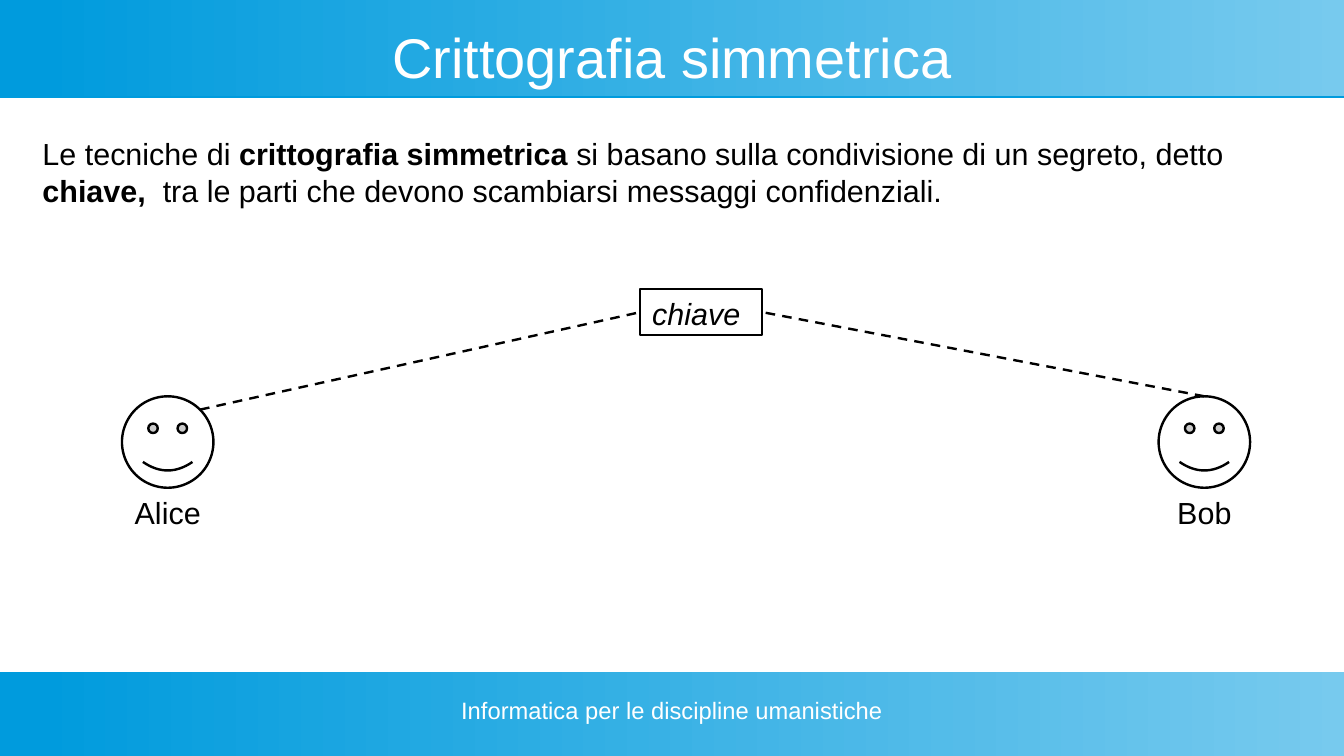
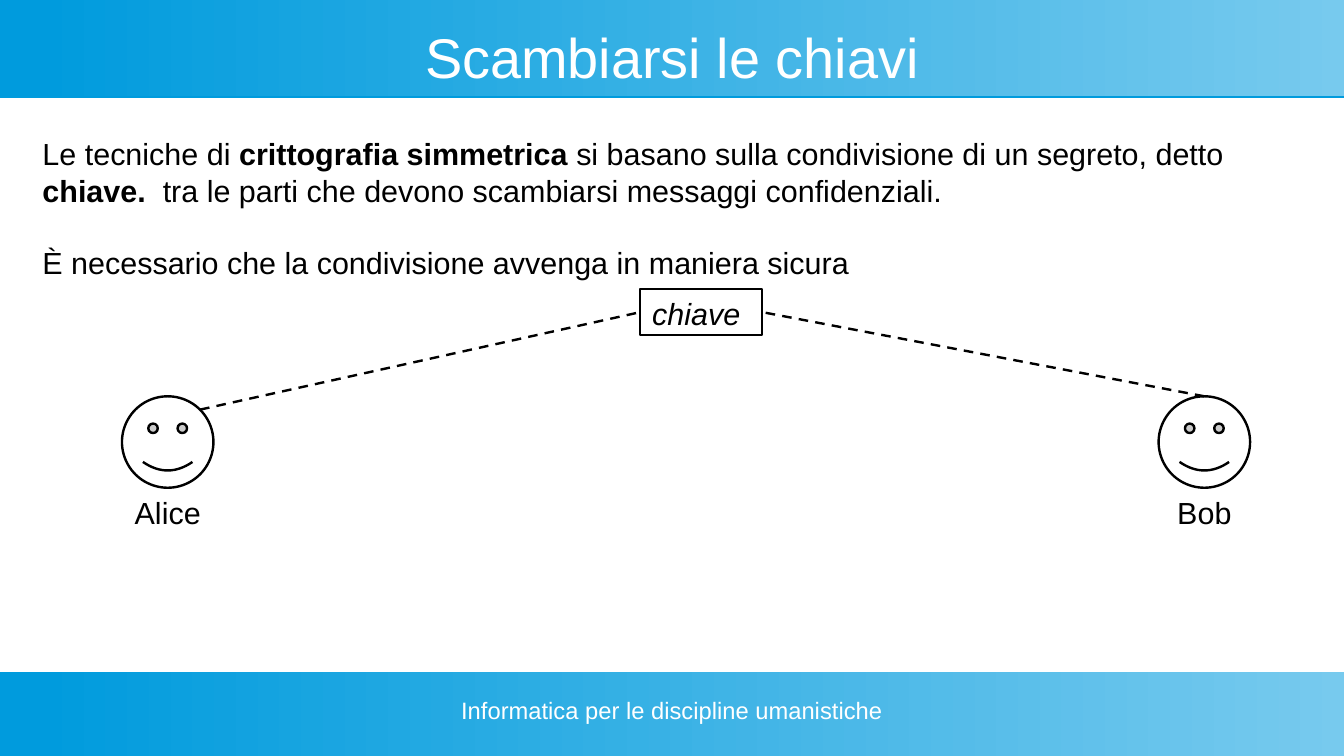
"""Builds two slides on symmetric cryptography and key sharing."""
import math
import pptx
import pptx.dml.color
import pptx.enum.dml
import pptx.enum.shapes
import pptx.enum.text
import pptx.oxml
import pptx.util
from pptx.oxml.ns import nsdecls

Inches, Pt = pptx.util.Inches, pptx.util.Pt
RGBColor = pptx.dml.color.RGBColor
SHAPE = pptx.enum.shapes.MSO_SHAPE
ALIGN = pptx.enum.text.PP_ALIGN
ANCHOR = pptx.enum.text.MSO_ANCHOR

BLUE = RGBColor(0x00, 0x9B, 0xDD)
LIGHT_BLUE = RGBColor(0x77, 0xCA, 0xEE)
WHITE = RGBColor(0xFF, 0xFF, 0xFF)
BLACK = RGBColor(0x00, 0x00, 0x00)
FONT = "Arial"
WIDTH, HEIGHT = 11.02, 6.2
BANDS = [(0, 0.79), (5.51, 0.69)]
TITLE_BOX = (0.39, 0.2, 10.24, 0.52)
FOOTER_BOX = (3.74, 5.71, 3.54, 0.39)
KEY_BOX = (5.25, 2.37, 1, 0.38)
FACE, FACE_TOP = 0.75, 3.25
LINE_WIDTH = 1.42
MARGINS = (0.1, 0.05)

FOOTER = "Informatica per le discipline umanistiche"
PEOPLE = [("Alice", 1), ("Bob", 9.5)]
KEY = "chiave"


def definition(key):
    return [("Le tecniche di ", False), ("crittografia simmetrica", True),
            (" si basano sulla condivisione di un segreto, detto ", False), (key, True),
            ("  tra le parti che devono scambiarsi messaggi confidenziali.", False)]


SLIDES = [
    ("Crittografia simmetrica", [definition("chiave,")], 0.94),
    ("Scambiarsi le chiavi",
     [definition("chiave."),
      [("È necessario che la condivisione avvenga in maniera sicura", False)]], 1.5),
]


def write(sp, paragraphs, size=18, color=BLACK, align=ALIGN.LEFT, anchor=ANCHOR.TOP,
          italic=False, margins=MARGINS, gap=0):
    """Fill a shape with paragraphs of (text, bold) runs; a string is one plain run."""
    if isinstance(paragraphs, str):
        paragraphs = [[(paragraphs, False)]]
    tf = sp.text_frame
    tf.word_wrap = True
    tf.vertical_anchor = anchor
    tf.margin_left = tf.margin_right = Inches(margins[0])
    tf.margin_top = tf.margin_bottom = Inches(margins[1])
    for i, runs in enumerate(paragraphs):
        p = tf.add_paragraph() if i else tf.paragraphs[0]
        p.alignment = align
        if i:
            p.space_before = Pt(gap)
        for text, bold in runs:
            r = p.add_run()
            r.text = text
            r.font.name, r.font.size, r.font.color.rgb = FONT, Pt(size), color
            r.font.bold, r.font.italic = bold, italic


def text_box(s, box, paragraphs, **style):
    write(s.shapes.add_textbox(*map(Inches, box)), paragraphs, **style)


def outlined(s, kind, box):
    sp = s.shapes.add_shape(kind, *map(Inches, box))
    sp.shadow.inherit = False
    sp.fill.solid()
    sp.fill.fore_color.rgb = WHITE
    sp.line.color.rgb, sp.line.width = BLACK, Pt(LINE_WIDTH)
    return sp


def dashed(s, start, end):
    c = s.shapes.add_connector(pptx.enum.shapes.MSO_CONNECTOR.STRAIGHT,
                               *map(Inches, start + end))
    c.line.color.rgb, c.line.width = BLACK, Pt(LINE_WIDTH)
    c.line.dash_style = pptx.enum.dml.MSO_LINE.DASH
    c._element.spPr.append(pptx.oxml.parse_xml(f"<a:effectLst {nsdecls('a')}/>"))


def add_bands(s, layout):
    """Draw the gradient bands and hand them to the layout."""
    for top, height in BANDS:
        sp = s.shapes.add_shape(SHAPE.RECTANGLE, *map(Inches, (0, top, WIDTH, height)))
        sp.line.fill.background()
        sp.fill.gradient()
        sp.fill.gradient_angle = 0
        for stop, position, color in zip(sp.fill.gradient_stops, (0.03, 1), (BLUE, LIGHT_BLUE)):
            stop.position, stop.color.rgb = position, color
        sp._element.spPr.append(pptx.oxml.parse_xml(
            f'<a:effectLst {nsdecls("a")}><a:outerShdw blurRad="0" dist="{Pt(0.9)}" '
            f'dir="5400000" rotWithShape="0"><a:srgbClr val="{BLUE}"/></a:outerShdw></a:effectLst>'))
        layout.shapes._spTree.append(sp._element)


def add_diagram(s):
    for name, left in PEOPLE:
        outlined(s, SHAPE.SMILEY_FACE, (left, FACE_TOP, FACE, FACE))
        text_box(s, (left - 0.1, FACE_TOP + FACE, FACE + 0.2, 0.4), name,
                 align=ALIGN.CENTER, anchor=ANCHOR.MIDDLE, margins=(0, 0))
    write(outlined(s, SHAPE.RECTANGLE, KEY_BOX), KEY, italic=True)
    left, top, width, height = KEY_BOX
    middle = top + height / 2
    radius = FACE / 2
    diagonal = radius * math.sqrt(0.5)
    alice, bob = (x + radius for _, x in PEOPLE)
    dashed(s, (alice + diagonal, FACE_TOP + radius - diagonal), (left, middle))
    dashed(s, (bob, FACE_TOP), (left + width, middle))


def main():
    prs = pptx.Presentation()
    prs.slide_width, prs.slide_height = Inches(WIDTH), Inches(HEIGHT)
    layout = prs.slide_layouts[5]
    title = layout.placeholders[0]
    title.left, title.top, title.width, title.height = map(Inches, TITLE_BOX)
    for i, (heading, paragraphs, height) in enumerate(SLIDES):
        s = prs.slides.add_slide(layout)
        if i == 0:
            add_bands(s, layout)
        write(s.shapes.title, heading, size=33, color=WHITE, align=ALIGN.CENTER,
              anchor=ANCHOR.MIDDLE, margins=(0, 0))
        text_box(s, (0.25, 1.06, 10.25, height), paragraphs, gap=21)
        add_diagram(s)
        text_box(s, FOOTER_BOX, FOOTER, size=14, color=WHITE, align=ALIGN.CENTER,
                 margins=(0, 0))
    prs.save("out.pptx")


if __name__ == "__main__":
    main()
